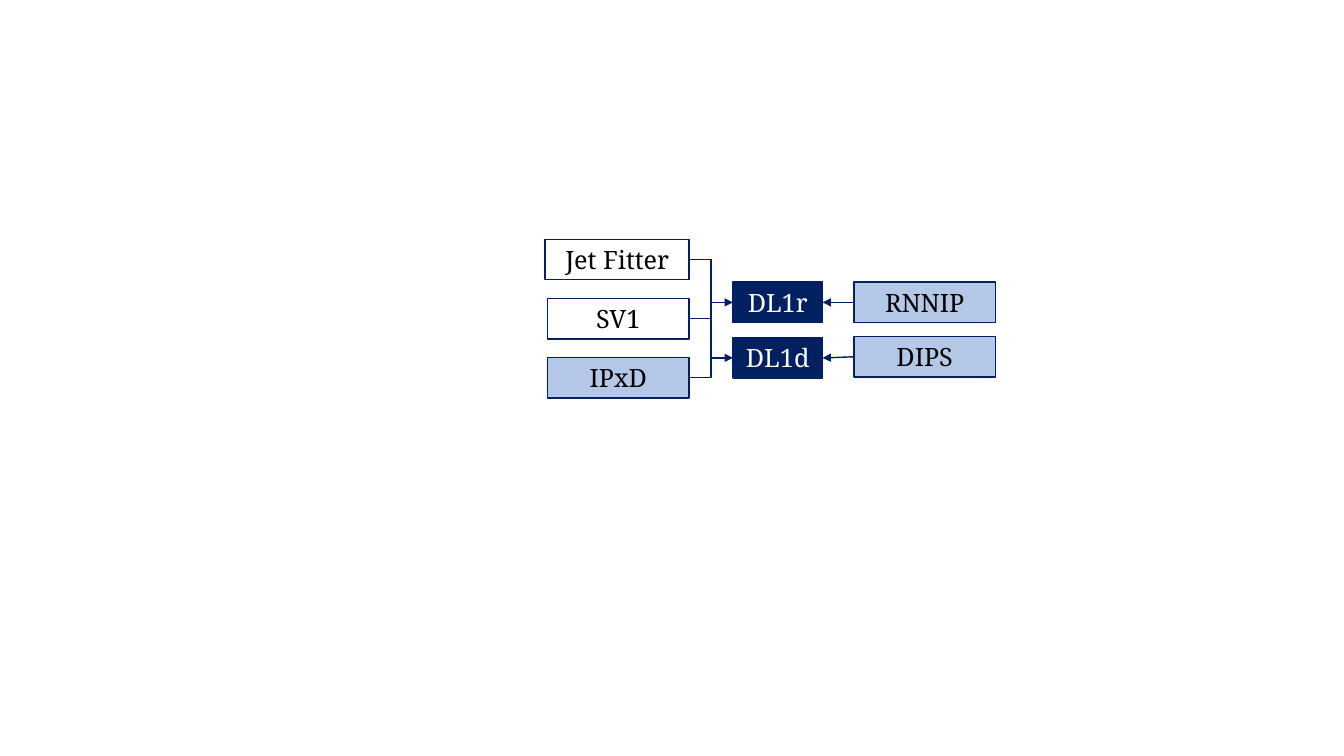
from pptx import Presentation
from pptx.dml.color import RGBColor
from pptx.enum.shapes import MSO_CONNECTOR as CXN, MSO_SHAPE
from pptx.enum.text import MSO_ANCHOR, MSO_AUTO_SIZE, PP_ALIGN
from pptx.oxml.ns import qn
from pptx.util import Cm, Pt
from lxml import etree

NAVY, PALE, WHITE, BLACK = "002060", "B4C7E7", "FFFFFF", "000000"
LEFT_SITE, RIGHT_SITE = 1, 3
BOX_HEIGHT = 1.02


def rgb(value):
    """Turn a hex string into a colour."""
    return RGBColor.from_string(value)


prs = Presentation()
prs.slide_width, prs.slide_height = Cm(33.87), Cm(19.05)
s = prs.slides.add_slide(prs.slide_layouts[6])

# Boxes: label, left, top, width, fill, text colour
input_tops = [6.03 + 1.49 * i for i in range(3)]
boxes = [
    ("DL1d", 18.47, 8.51, 2.26, NAVY, WHITE),
    ("DL1r", 18.47, 7.11, 2.26, NAVY, WHITE),
    ("IPxD", 13.8, input_tops[2], 3.57, PALE, BLACK),
    ("SV1", 13.8, input_tops[1], 3.57, WHITE, BLACK),
    ("Jet Fitter", 13.74, input_tops[0], 3.63, WHITE, BLACK),
    ("RNNIP", 21.52, 7.11, 3.57, PALE, BLACK),
    ("DIPS", 21.52, 8.48, 3.57, PALE, BLACK),
]
text_format = {"word_wrap": True, "auto_size": MSO_AUTO_SIZE.SHAPE_TO_FIT_TEXT,
               "vertical_anchor": MSO_ANCHOR.MIDDLE}
font_format = {"name": "Noto Serif", "size": Pt(18)}

box = {}
for label, left, top, width, fill, color in boxes:
    sp = s.shapes.add_shape(MSO_SHAPE.RECTANGLE, Cm(left), Cm(top),
                            Cm(width), Cm(BOX_HEIGHT))
    sp.shadow.inherit = False
    sp.fill.solid()
    sp.fill.fore_color.rgb = rgb(fill)
    sp.line.color.rgb = rgb(NAVY)
    sp.line.width = Pt(1)
    tf = sp.text_frame
    for name, value in text_format.items():
        setattr(tf, name, value)
    p = tf.paragraphs[0]
    p.alignment = PP_ALIGN.CENTER
    r = p.add_run()
    r.text = label
    for name, value in font_format.items():
        setattr(r.font, name, value)
    r.font.color.rgb = rgb(color)
    box[label] = sp

# Links: kind, source box and site, target box and site, arrowhead
links = [
    (CXN.ELBOW, "Jet Fitter", RIGHT_SITE, "DL1r", LEFT_SITE, False),
    (CXN.ELBOW, "IPxD", RIGHT_SITE, "DL1r", LEFT_SITE, False),
    (CXN.ELBOW, "SV1", RIGHT_SITE, "DL1r", LEFT_SITE, True),
    (CXN.ELBOW, "Jet Fitter", RIGHT_SITE, "DL1d", LEFT_SITE, True),
    (CXN.STRAIGHT, "RNNIP", LEFT_SITE, "DL1r", RIGHT_SITE, True),
    (CXN.STRAIGHT, "DIPS", LEFT_SITE, "DL1d", RIGHT_SITE, True),
]
for kind, source, source_site, target, target_site, arrow in links:
    link = s.shapes.add_connector(kind, 0, 0, 0, 0)
    link.begin_connect(box[source], source_site)
    link.end_connect(box[target], target_site)
    link.line.color.rgb = rgb(NAVY)
    link.line.width = Pt(1)
    sp_pr = link._element.spPr
    if arrow:
        etree.SubElement(sp_pr.find(qn("a:ln")), qn("a:tailEnd"), type="triangle")
    etree.SubElement(sp_pr, qn("a:effectLst"))

prs.save("out.pptx")
